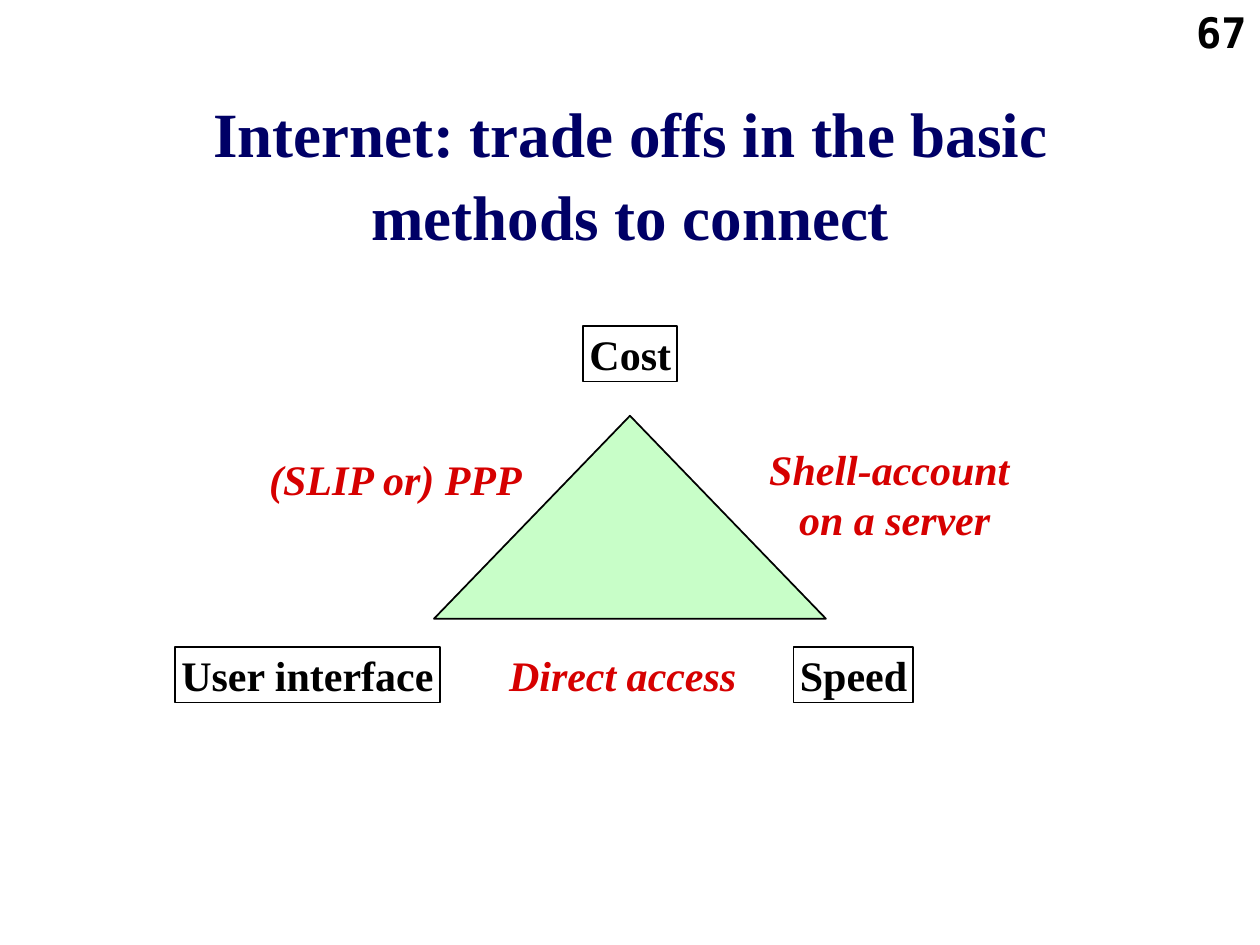
import dataclasses

import pptx
import pptx.dml.color
import pptx.enum.shapes
import pptx.enum.text
import pptx.util

Pt = pptx.util.Pt
Align = pptx.enum.text.PP_ALIGN
Anchor = pptx.enum.text.MSO_ANCHOR
AutoSize = pptx.enum.text.MSO_AUTO_SIZE
ShapeType = pptx.enum.shapes.MSO_SHAPE


@dataclasses.dataclass(frozen=True)
class Theme:
    title: str = "000066"
    method: str = "D60000"
    ink: str = "000000"
    triangle: str = "C8FEC8"
    title_size: int = 36
    label_size: int = 24
    font: str = "Times New Roman"
    number_font: str = "DejaVu Sans Mono"


THEME = Theme()
LABEL_HEIGHT = 31.7
BASE_ROW = 369.8


def rgb(value):
    return pptx.dml.color.RGBColor.from_string(value)


def write_text(shape, text, *, color=THEME.ink, size=THEME.label_size, font=THEME.font,
               italic=False, align=Align.LEFT, anchor=Anchor.TOP, margins=(0, 1.44, 0, 1.44),
               wrap=False, auto_size=AutoSize.SHAPE_TO_FIT_TEXT, spacing=0, line_spacing=1):
    frame = shape.text_frame
    frame.word_wrap = wrap
    frame.auto_size = auto_size
    frame.vertical_anchor = anchor
    (frame.margin_left, frame.margin_top,
     frame.margin_right, frame.margin_bottom) = map(Pt, margins)
    paragraph = frame.paragraphs[0]
    paragraph.text = text
    paragraph.alignment = align
    paragraph.line_spacing = line_spacing
    paragraph.space_before = paragraph.space_after = Pt(spacing)
    for run in paragraph.runs:
        run.font.name = font
        run.font.size = Pt(size)
        run.font.bold = True
        run.font.italic = italic
        run.font.color.rgb = rgb(color)


def add_title(slide, text):
    title = slide.shapes.title
    title.left, title.top, title.width, title.height = Pt(56.7), Pt(43.8), Pt(607), Pt(107)
    write_text(title, text, color=THEME.title, size=THEME.title_size, align=Align.CENTER,
               anchor=Anchor.MIDDLE, margins=(5.76,) * 4, wrap=True,
               spacing=4.5, line_spacing=1.1)


def add_outlined(slide, kind, left, top, width, height, fill=None):
    shape = slide.shapes.add_shape(kind, Pt(left), Pt(top), Pt(width), Pt(height))
    shape.shadow.inherit = False
    if fill:
        shape.fill.solid()
        shape.fill.fore_color.rgb = rgb(fill)
    else:
        shape.fill.background()
    shape.line.color.rgb = rgb(THEME.ink)
    shape.line.width = Pt(1)
    return shape


def add_criterion(slide, text, left, top, width):
    box = add_outlined(slide, ShapeType.RECTANGLE, left, top, width, LABEL_HEIGHT)
    write_text(box, text, margins=(3.6, 1.44, 0, 1.44))


def add_method(slide, text, left, top, width, height=LABEL_HEIGHT):
    box = slide.shapes.add_textbox(Pt(left), Pt(top), Pt(width), Pt(height))
    write_text(box, text, color=THEME.method, italic=True, align=Align.CENTER)


def add_page_number(slide, text):
    box = slide.shapes.add_textbox(Pt(569.5), Pt(0), Pt(150), Pt(36))
    write_text(box, text, font=THEME.number_font, align=Align.RIGHT, anchor=Anchor.MIDDLE,
               margins=(7.2, 3.6, 7.2, 3.6), wrap=True, auto_size=AutoSize.NONE)


def main():
    presentation = pptx.Presentation()
    presentation.slide_width, presentation.slide_height = Pt(720), Pt(540)
    slide = presentation.slides.add_slide(presentation.slide_layouts[5])

    add_title(slide, "Internet: trade offs in the basic methods to connect")
    add_outlined(slide, ShapeType.ISOSCELES_TRIANGLE, 248, 237.6, 224, 116, THEME.triangle)

    add_method(slide, "(SLIP or) PPP", 150, 257.6, 152)
    add_method(slide, "Shell-account \von a server", 436, 252, 150.5, 60.5)
    add_method(slide, "Direct access", 287.5, BASE_ROW, 136.8)

    add_criterion(slide, "Cost", 333.2, 186.4, 53.6)
    add_criterion(slide, "User interface", 100, BASE_ROW, 151.4)
    add_criterion(slide, "Speed", 453.5, BASE_ROW, 68.2)

    add_page_number(slide, "67")
    presentation.save("out.pptx")


if __name__ == "__main__":
    main()
